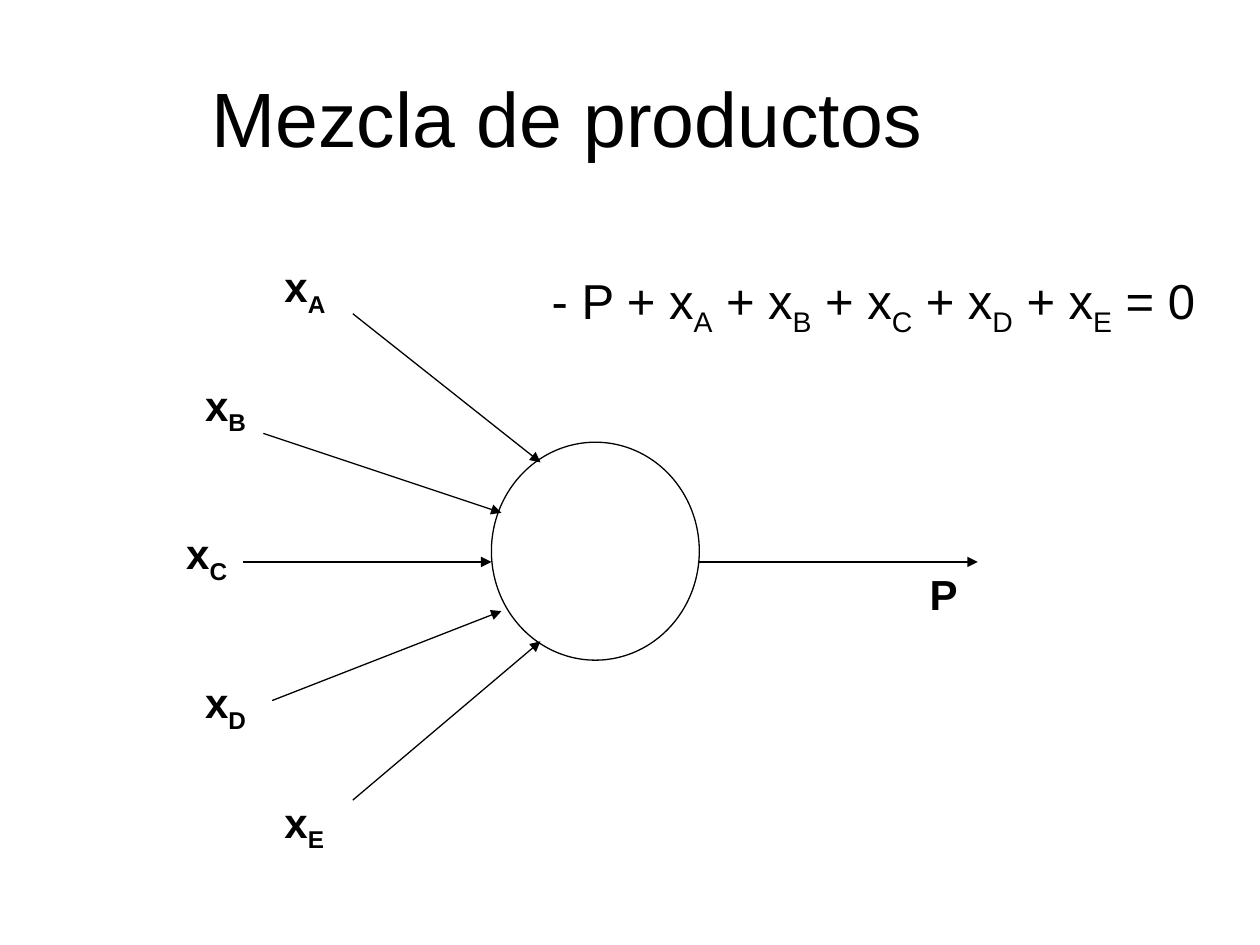
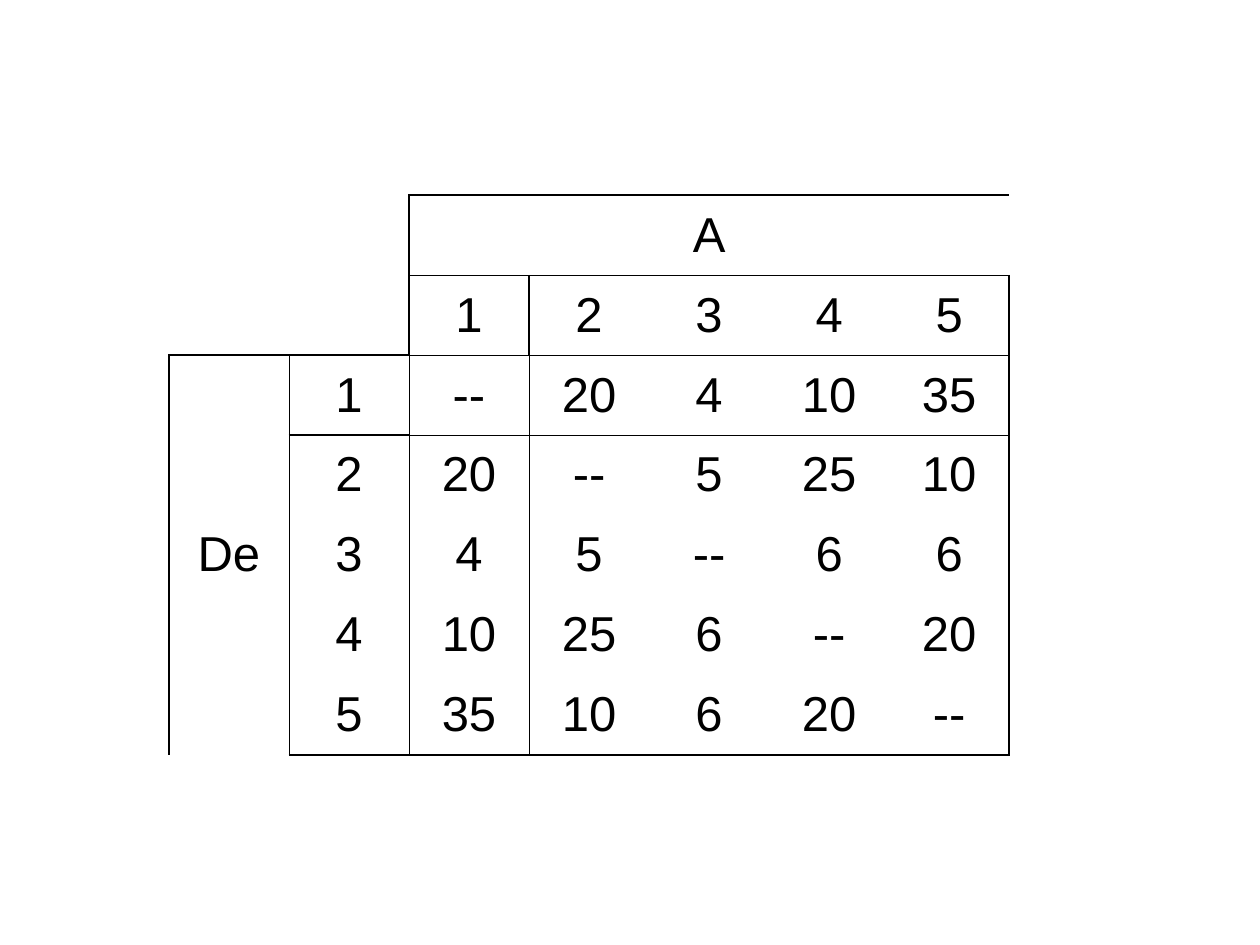
from collections import defaultdict
from dataclasses import dataclass
from itertools import product

from lxml.etree import SubElement
from pptx import Presentation
from pptx.dml.color import RGBColor
from pptx.enum.shapes import MSO_CONNECTOR as Connector, MSO_SHAPE as Shape
from pptx.enum.text import MSO_ANCHOR as Anchor, PP_ALIGN as Align
from pptx.oxml.ns import qn
from pptx.util import Inches, Pt


@dataclass(frozen=True)
class Theme:
    font: str = "Arial"
    ink: RGBColor = RGBColor(0, 0, 0)
    title: int = 44
    body: int = 28
    label: int = 24
    line: float = 0.75
    outer_border: float = 1.08
    inner_border: float = 0.45


THEME = Theme()
WIDTH, HEIGHT = Inches(10), Inches(7.5)
COLUMNS, ROWS = 100, 75
NO_STYLE = "{2D5ABB26-0587-4C30-8999-92F81FD0307C}"
SIDES = {"L": (0, -1), "R": (0, 1), "T": (-1, 0), "B": (1, 0)}
OPPOSITE = {"L": "R", "R": "L", "T": "B", "B": "T"}

FLOWS = [
    ("x|A", (21.6, 20.2), (28, 24.9), (42.9, 36.7)),
    ("x|B", (15.3, 29.6), (20.9, 34.4), (39.8, 40.7)),
    ("x|C", (13.8, 41.4), (19.3, 44.6), (39, 44.6)),
    ("x|D", (15.3, 53.2), (21.6, 55.6), (39.8, 48.5)),
    ("x|E", (21.6, 62.7), (28, 63.5), (42.9, 50.9)),
    ("P", (72.8, 44.6), (55.5, 44.6), (77.6, 44.6)),
]
COSTS = [
    ["--", "20", "4", "10", "35"],
    ["20", "--", "5", "25", "10"],
    ["4", "5", "--", "6", "6"],
    ["10", "25", "6", "--", "20"],
    ["35", "10", "6", "20", "--"],
]


def across(columns):
    return round(WIDTH * columns / COLUMNS)


def down(rows):
    return round(HEIGHT * rows / ROWS)


def place(left, top, width, height):
    return across(left), down(top), across(width), down(height)


def apply(target, values):
    for name, value in values.items():
        setattr(target, name, value)


def write(frame, text, size, bold=False, align=Align.LEFT):
    para = frame.paragraphs[0]
    para.alignment = align
    for index, piece in enumerate(text.split("|")):
        span = para.add_run()
        span.text = piece
        apply(span.font, {"name": THEME.font, "size": Pt(size), "bold": bold})
        span.font.color.rgb = THEME.ink
        if index % 2:
            span._r.get_or_add_rPr().set("baseline", "-25000")


def add_text(page, area, text, size, wrap=True, anchor=Anchor.TOP, **style):
    frame = page.shapes.add_textbox(*place(*area)).text_frame
    apply(frame, {"word_wrap": wrap, "vertical_anchor": anchor})
    write(frame, text, size, **style)


def add_arrow(page, start, end):
    points = (across(start[0]), down(start[1]), across(end[0]), down(end[1]))
    arrow = page.shapes.add_connector(Connector.STRAIGHT, *points)
    arrow.line.width = Pt(THEME.line)
    arrow.line.color.rgb = THEME.ink
    SubElement(arrow.line._get_or_add_ln(), qn("a:tailEnd"), type="triangle")
    SubElement(arrow._element.spPr, qn("a:effectLst"))


def add_mixer(page, area):
    mixer = page.shapes.add_shape(Shape.OVAL, *place(*area))
    mixer.shadow.inherit = False
    mixer.fill.background()
    mixer.line.color.rgb = THEME.ink
    mixer.line.width = Pt(THEME.line)


def border_weights(regions):
    owner = {
        cell: name
        for name, (rows, columns) in regions.items()
        for cell in product(rows, columns)
    }
    weights = defaultdict(dict)
    for (row, column), name in owner.items():
        for side, (step_down, step_right) in SIDES.items():
            neighbour = (row + step_down, column + step_right)
            if owner.get(neighbour) != name:
                weight = THEME.inner_border if neighbour in owner else THEME.outer_border
                weights[row, column][side] = weight
                weights[neighbour][OPPOSITE[side]] = weight
    return weights


def draw_borders(cell, weights):
    properties = cell._tc.get_or_add_tcPr()
    for side in SIDES:
        if side in weights:
            line = SubElement(properties, qn(f"a:ln{side}"), w=str(Pt(weights[side])))
            fill = SubElement(line, qn("a:solidFill"))
            SubElement(fill, qn("a:srgbClr"), val=str(THEME.ink))


def add_cost_table(page, area):
    count = len(COSTS)
    numbers = [str(number + 1) for number in range(count)]
    contents = [["", "", "A"] + [""] * (count - 1), ["", ""] + numbers]
    for number, costs in zip(numbers, COSTS):
        contents.append(["De" if number == "1" else "", number] + costs)
    size = count + 2
    body = range(2, size)
    weights = border_weights({
        "destination": ([0], body),
        "destination numbers": ([1], body),
        "origin": (body, [0]),
        "origin numbers": (body, [1]),
        "costs": (body, body),
    })
    table = page.shapes.add_table(size, size, *place(*area)).table
    apply(table, {"first_row": False, "horz_banding": False})
    table._tbl.tblPr.find(qn("a:tableStyleId")).text = NO_STYLE
    table.cell(0, 2).merge(table.cell(0, size - 1))
    table.cell(2, 0).merge(table.cell(size - 1, 0))
    for row, column in product(range(size), repeat=2):
        cell = table.cell(row, column)
        cell.vertical_anchor = Anchor.MIDDLE
        draw_borders(cell, weights[row, column])
        cell.fill.background()
        if contents[row][column]:
            write(cell.text_frame, contents[row][column], THEME.body, align=Align.CENTER)


def build_mixing(page):
    add_text(page, (0, 3, 90, 12.5), "Mezcla de productos", THEME.title,
             anchor=Anchor.MIDDLE, align=Align.CENTER)
    add_mixer(page, (39, 35.1, 16.5, 17.3))
    for name, corner, start, end in FLOWS:
        add_arrow(page, start, end)
        add_text(page, (*corner, 6.3, 5.6), name, THEME.label, bold=True)
    inputs = [name for name, *_ in FLOWS[:-1]]
    formula = "- P + " + "| + ".join(inputs) + "| = 0"
    add_text(page, (42.8, 21, 53.1, 6.3), formula, THEME.body, wrap=False)


def main():
    deck = Presentation()
    apply(deck, {"slide_width": WIDTH, "slide_height": HEIGHT})
    blank = deck.slide_layouts[6]
    build_mixing(deck.slides.add_slide(blank))
    add_cost_table(deck.slides.add_slide(blank), (13.4, 15.5, 66.7, 44.4))
    deck.save("out.pptx")


if __name__ == "__main__":
    main()
